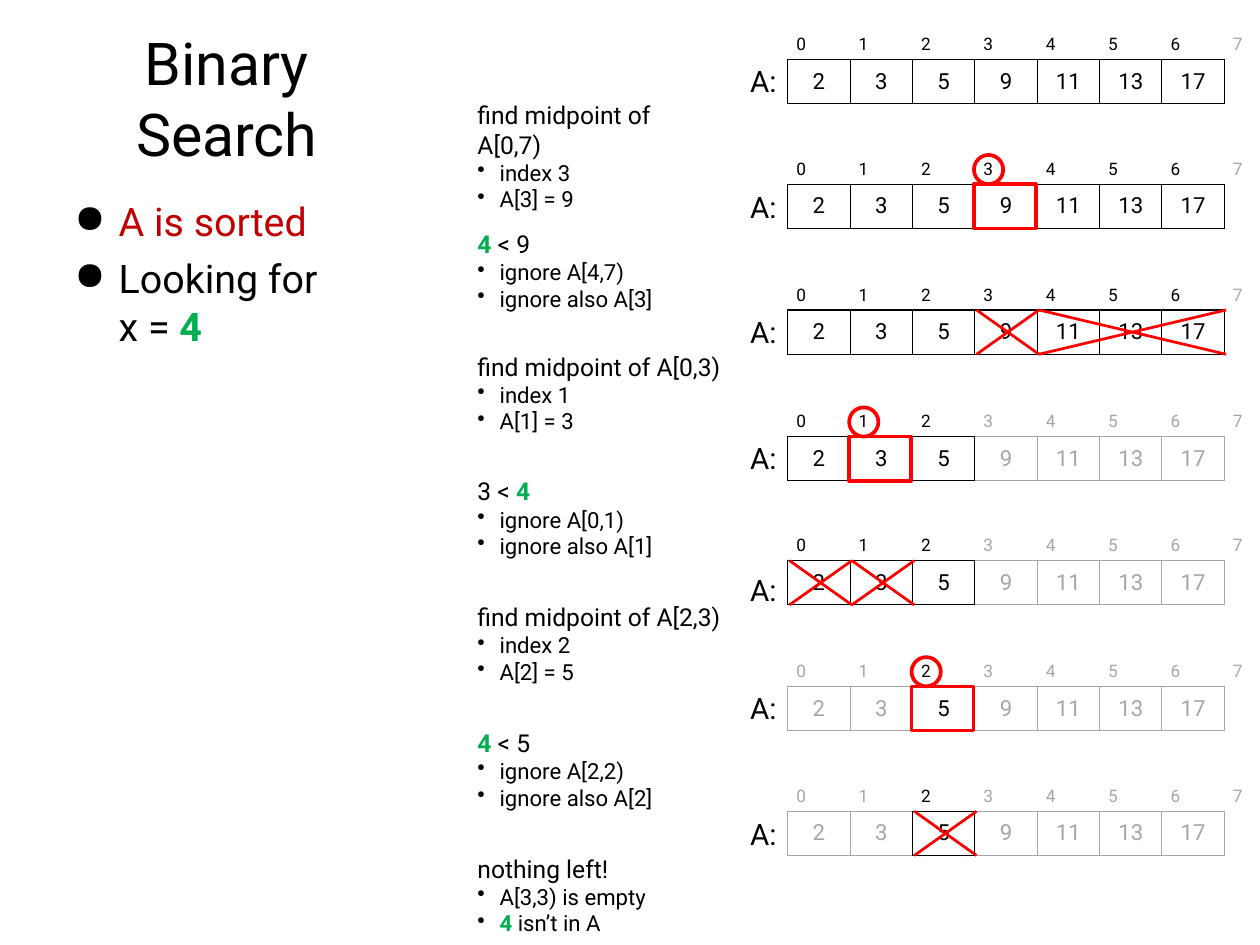
from lxml import etree
from pptx import Presentation
from pptx.dml.color import RGBColor
from pptx.enum.shapes import MSO_CONNECTOR, MSO_SHAPE
from pptx.enum.text import MSO_ANCHOR, MSO_AUTO_SIZE, PP_ALIGN
from pptx.oxml.ns import qn
from pptx.util import Inches, Pt

RECTANGLE, OVAL = MSO_SHAPE.RECTANGLE, MSO_SHAPE.OVAL
STRAIGHT = MSO_CONNECTOR.STRAIGHT
MIDDLE, BOTTOM = MSO_ANCHOR.MIDDLE, MSO_ANCHOR.BOTTOM
CENTER = PP_ALIGN.CENTER
NO_AUTOFIT = MSO_AUTO_SIZE.NONE

FONT = "Roboto"
BLACK, GRAY, RED, DARK_RED, GREEN = "000000", "A6A6A6", "FF0000", "C00000", "00B050"
PLAIN_TABLE_STYLE = "{2D5ABB26-0587-4C30-8999-92F81FD0307C}"

# Grid of the array drawings, in inches
ARRAY_LEFT, CELL_WIDTH, CELL_HEIGHT = 8.89, 0.704, 0.5
CROSS_SHIFT = 0.02
VALUES = ["2", "3", "5", "9", "11", "13", "17"]
COLUMNS = len(VALUES) + 1

# Table top, label top, first and end index still searched, midpoint, crossed-out ranges
STEPS = [
    (0.17, 0.65, 0, 7, None, []),
    (1.58, 2.07, 0, 7, 3, []),
    (3.00, 3.48, 0, 7, None, [(3, 4), (4, 7)]),
    (4.43, 4.91, 0, 3, 1, []),
    (5.83, 6.40, 0, 3, None, [(0, 1), (1, 2)]),
    (7.25, 7.73, 2, 3, 2, []),
    (8.66, 9.15, 2, 3, None, [(2, 3)]),
]

# Top, width, heading and bullets; asterisks enclose the sought number
NOTES = [
    (1.08, 2.91, "find midpoint of A[0,7)", ["index 3", "A[3] = 9"]),
    (2.54, 2.2, "*4* < 9", ["ignore A[4,7)", "ignore also A[3]"]),
    (3.92, 2.99, "find midpoint of A[0,3)", ["index 1", "A[1] = 3"]),
    (5.33, 2.2, "3 < *4*", ["ignore A[0,1)", "ignore also A[1]"]),
    (6.75, 2.99, "find midpoint of A[2,3)", ["index 2", "A[2] = 5"]),
    (8.17, 2.2, "*4* < 5", ["ignore A[2,2)", "ignore also A[2]"]),
    (9.59, 2.14, "nothing left!", ["A[3,3) is empty", "*4* isn’t in A"]),
]


def write(paragraph, text, size, color=BLACK, bullet=None, indent=0):
    """Fill a paragraph; text between asterisks turns bold green."""
    if bullet:
        properties = paragraph._p.get_or_add_pPr()
        properties.set("marL", str(Inches(indent)))
        properties.set("indent", str(-Inches(indent)))
        bullet_color = etree.SubElement(properties, qn("a:buClr"))
        etree.SubElement(bullet_color, qn("a:srgbClr")).set("val", BLACK)
        etree.SubElement(properties, qn("a:buChar")).set("char", bullet)
    paragraph.font.name = FONT
    paragraph.font.size = Pt(size)
    paragraph.font.color.rgb = RGBColor.from_string(color)
    for line_number, line in enumerate(text.split("\n")):
        if line_number:
            paragraph.add_line_break()
        for piece_number, piece in enumerate(line.split("*")):
            if piece:
                run = paragraph.add_run()
                run.text = piece
                if piece_number % 2:
                    run.font.bold = True
                    run.font.color.rgb = RGBColor.from_string(GREEN)


def set_margins(frame):
    frame.margin_left = frame.margin_right = Inches(0.06)
    frame.margin_top = frame.margin_bottom = Inches(0.06)


presentation = Presentation()
presentation.slide_width = Inches(14.22)
presentation.slide_height = Inches(10.67)
slide = presentation.slides.add_slide(presentation.slide_layouts[5])
shapes = slide.shapes

# Title
title = shapes.title
title.left, title.top, title.width, title.height = map(Inches, (0.61, 0.28, 3.9, 1.64))
title.text_frame.auto_size = NO_AUTOFIT
title.text_frame.vertical_anchor = MIDDLE
set_margins(title.text_frame)
write(title.text_frame.paragraphs[0], "Binary\nSearch", 48)
title.text_frame.paragraphs[0].alignment = CENTER

# Problem statement
frame = shapes.add_textbox(*map(Inches, (0.78, 2.17, 3.65, 7.54))).text_frame
frame.word_wrap = True
set_margins(frame)
write(frame.paragraphs[0], "A is sorted", 32, DARK_RED, "●", 0.5)
paragraph = frame.add_paragraph()
write(paragraph, "Looking for\nx = *4*", 32, BLACK, "●", 0.5)
paragraph.space_before = Pt(8)

# Array at each step of the search
for top, label_top, first, end, midpoint, crossed in STEPS:
    table = shapes.add_table(2, COLUMNS, Inches(ARRAY_LEFT), Inches(top),
                             Inches(COLUMNS * CELL_WIDTH), Inches(2 * CELL_HEIGHT)).table
    table.first_row = table.horz_banding = False
    table._tbl.tblPr.find(qn("a:tableStyleId")).text = PLAIN_TABLE_STYLE
    for row in table.rows:
        row.height = Inches(CELL_HEIGHT)
    for column in range(COLUMNS):
        table.columns[column].width = Inches(CELL_WIDTH)
        color = BLACK if first <= column < end else GRAY
        left_color = BLACK if first <= column <= end else GRAY
        right_color = BLACK if first <= column + 1 <= end else GRAY
        index_cell, value_cell = table.cell(0, column), table.cell(1, column)
        index_cell.margin_left, index_cell.margin_right = 0, Inches(0.4)
        index_cell.vertical_anchor = BOTTOM
        write(index_cell.text_frame.paragraphs[0], str(column), 14, color)
        index_cell.text_frame.paragraphs[0].alignment = CENTER
        index_borders, value_borders = {}, {"lnL": left_color}
        if column < len(VALUES):
            index_borders = {"lnB": color}
            value_borders = {"lnL": left_color, "lnR": right_color, "lnT": color, "lnB": color}
            value_cell.vertical_anchor = MIDDLE
            write(value_cell.text_frame.paragraphs[0], VALUES[column], 18, color)
            value_cell.text_frame.paragraphs[0].alignment = CENTER
        for cell, borders in ((index_cell, index_borders), (value_cell, value_borders)):
            for side, border_color in borders.items():
                border = etree.SubElement(cell._tc.get_or_add_tcPr(), qn("a:" + side))
                border.set("w", str(Pt(1)))
                fill = etree.SubElement(border, qn("a:solidFill"))
                etree.SubElement(fill, qn("a:srgbClr")).set("val", border_color)
            cell.fill.background()

    # Array name
    frame = shapes.add_textbox(*map(Inches, (8.4, label_top, 0.43, 0.52))).text_frame
    frame.word_wrap = False
    frame.vertical_anchor = MIDDLE
    set_margins(frame)
    write(frame.paragraphs[0], "A:", 24)
    frame.paragraphs[0].alignment = CENTER

    # Midpoint: box around the value, circle around the index
    if midpoint is not None:
        mark_left = ARRAY_LEFT + midpoint * CELL_WIDTH - 0.01
        for kind, mark_top, width, height in (
            (RECTANGLE, top + CELL_HEIGHT, 0.7, CELL_HEIGHT),
            (OVAL, top + 0.17, 0.33, 0.33),
        ):
            mark = shapes.add_shape(kind, *map(Inches, (mark_left, mark_top, width, height)))
            mark.shadow.inherit = False
            mark.fill.background()
            mark.line.color.rgb = RGBColor.from_string(RED)
            mark.line.width = Pt(3)

    # Crosses over the ranges that are ruled out
    upper, lower = top + CELL_HEIGHT, top + 2 * CELL_HEIGHT
    for start, stop in crossed:
        left = ARRAY_LEFT + start * CELL_WIDTH + CROSS_SHIFT
        right = ARRAY_LEFT + stop * CELL_WIDTH + CROSS_SHIFT
        for begin_y, end_y in ((lower, upper), (upper, lower)):
            stroke = shapes.add_connector(STRAIGHT, *map(Inches, (right, begin_y, left, end_y)))
            stroke.line.color.rgb = RGBColor.from_string(RED)
            stroke.line.width = Pt(2.25)
            etree.SubElement(stroke._element.spPr, qn("a:effectLst"))

# Explanation of each step
for top, width, heading, bullets in NOTES:
    frame = shapes.add_textbox(*map(Inches, (5.29, top, width, 1.04))).text_frame
    frame.word_wrap = True
    write(frame.paragraphs[0], heading, 20)
    for text in bullets:
        write(frame.add_paragraph(), text, 18, BLACK, "•", 0.25)

presentation.save("out.pptx")
